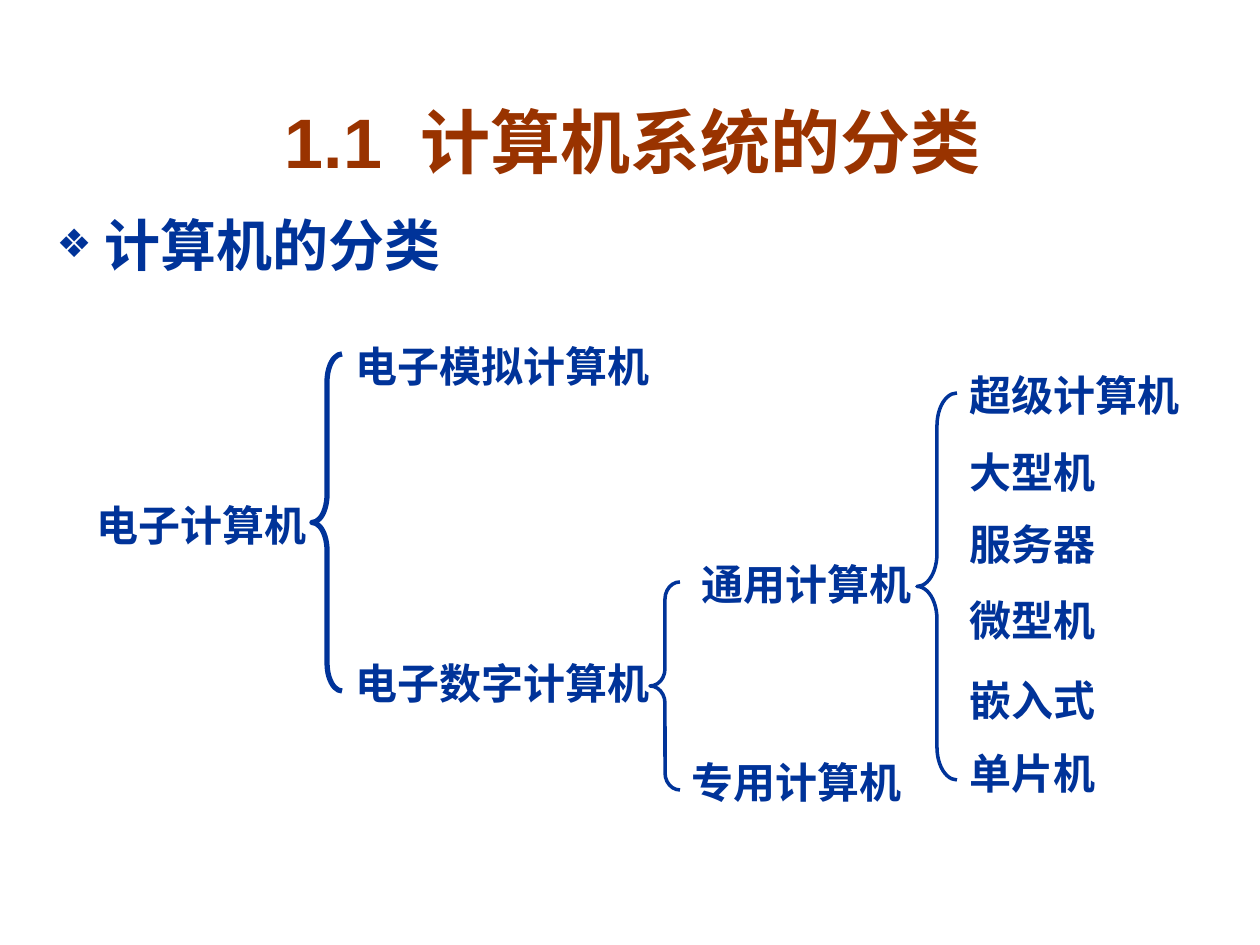
from lxml.etree import SubElement
from pptx import Presentation
from pptx.dml.color import RGBColor
from pptx.enum.shapes import MSO_SHAPE
from pptx.enum.text import MSO_ANCHOR, MSO_AUTO_SIZE, PP_ALIGN
from pptx.oxml.ns import qn
from pptx.util import Emu, Pt

SCALE = 914400 / 126
BLUE = "003399"
BROWN = "993300"
LABEL_HEIGHT = 63


def px(length):
    return Emu(round(length * SCALE))


def color(value):
    return RGBColor.from_string(value)


def place(shape, left, top, width, height):
    shape.left, shape.top = px(left), px(top)
    shape.width, shape.height = px(width), px(height)


def write_text(shape, text, size=24, fill=BLUE, align=PP_ALIGN.LEFT,
               anchor=MSO_ANCHOR.TOP, before=0, spacing=0,
               auto_size=MSO_AUTO_SIZE.NONE):
    frame = shape.text_frame
    frame.word_wrap = True
    frame.auto_size = auto_size
    frame.vertical_anchor = anchor
    paragraph = frame.paragraphs[0]
    paragraph.alignment = align
    paragraph.space_before = Pt(before)
    run = paragraph.add_run()
    run.text = text
    run.font.name = "Arial"
    run.font.size = Pt(size)
    run.font.bold = True
    run.font.color.rgb = color(fill)
    if spacing:
        run.font._element.set("spc", str(spacing * 100))
    return paragraph


def add_bullet(paragraph, character, fill, percent, indent):
    properties = paragraph._p.get_or_add_pPr()
    properties.set("marL", str(px(indent)))
    properties.set("indent", str(-px(indent)))
    bullet_color = SubElement(properties, qn("a:buClr"))
    SubElement(bullet_color, qn("a:srgbClr"), val=fill)
    SubElement(properties, qn("a:buSzPct"), val=str(percent * 1000))
    SubElement(properties, qn("a:buChar"), char=character)


def fill_title(slide, left, top, width, height):
    title = slide.shapes.title
    place(title, left, top, width, height)
    for text, spacing in (("1.1", 0), (" ", 11), ("计算机系统的分类", 0)):
        write_text(title, text, size=40, fill=BROWN, align=PP_ALIGN.CENTER,
                   anchor=MSO_ANCHOR.MIDDLE, spacing=spacing)


def fill_body(slide, left, top, width, height):
    body = slide.placeholders[1]
    place(body, left, top, width, height)
    paragraph = write_text(body, "计算机的分类", size=32, before=8)
    add_bullet(paragraph, "❖", BLUE, percent=70, indent=48)


def add_branch(slide, left, top, width, height, line_width, curve, labels):
    brace = slide.shapes.add_shape(
        MSO_SHAPE.LEFT_BRACE, px(left), px(top), px(width), px(height))
    brace.shadow.inherit = False
    brace.fill.background()
    brace.line.color.rgb = color(BLUE)
    brace.line.width = Pt(line_width)
    brace.adjustments[0] = curve
    for text, across, down, label_width in labels:
        label = slide.shapes.add_textbox(
            px(left + across), px(top + down), px(label_width), px(LABEL_HEIGHT))
        write_text(label, text, before=15,
                   auto_size=MSO_AUTO_SIZE.SHAPE_TO_FIT_TEXT)


def main():
    presentation = Presentation()
    presentation.slide_width = px(1260)
    presentation.slide_height = px(945)
    slide = presentation.slides.add_slide(presentation.slide_layouts[1])

    fill_title(slide, 44, 76, 1177, 129)
    fill_body(slide, 44, 204, 1177, 89)
    add_branch(slide, 312, 354, 30, 337, line_width=3, curve=0.93, labels=[
        ("电子计算机", -228, 139, 248),
        ("电子模拟计算机", 31, -20, 348),
        ("电子数字计算机", 31, 297, 348),
    ])
    add_branch(slide, 650, 582, 30, 208, line_width=2, curve=0.57, labels=[
        ("通用计算机", 39, -30, 238),
        ("专用计算机", 29, 168, 238),
    ])
    add_branch(slide, 917, 393, 40, 387, line_width=2, curve=0.82, labels=[
        ("超级计算机", 40, -30, 238),
        ("大型机", 40, 47, 169),
        ("服务器", 40, 119, 169),
        ("微型机", 40, 195, 169),
        ("嵌入式", 40, 275, 169),
        ("单片机", 40, 348, 169),
    ])
    presentation.save("out.pptx")


if __name__ == "__main__":
    main()
